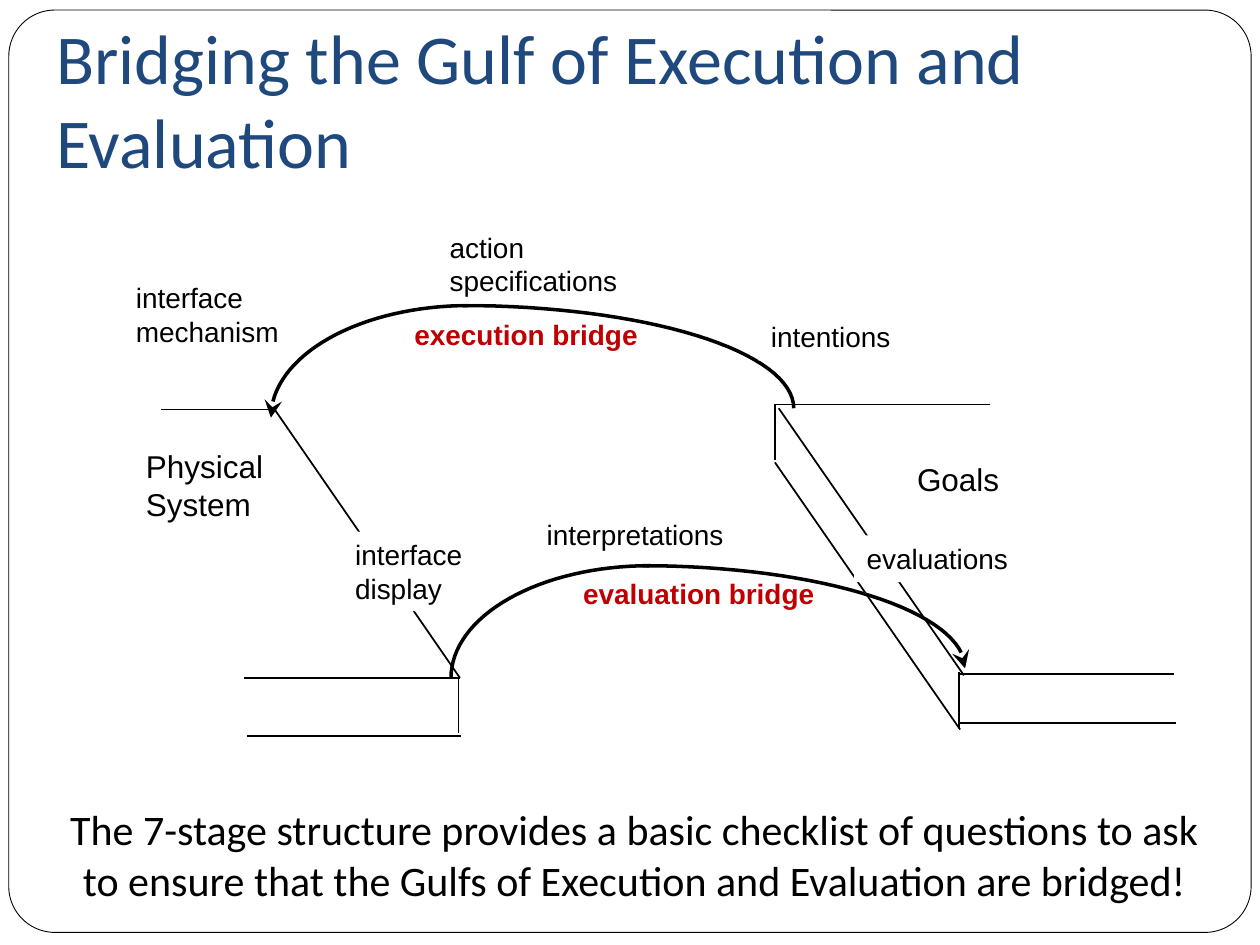
from math import cos, pi, sin

from lxml import etree
from pptx import Presentation
from pptx.dml.color import RGBColor
from pptx.enum.shapes import MSO_CONNECTOR, MSO_SHAPE
from pptx.enum.text import MSO_ANCHOR, PP_ALIGN
from pptx.oxml.ns import qn
from pptx.util import Inches, Pt

STRAIGHT = MSO_CONNECTOR.STRAIGHT
ROUNDED = MSO_SHAPE.ROUNDED_RECTANGLE
LEFT, CENTER = PP_ALIGN.LEFT, PP_ALIGN.CENTER
TOP, BOTTOM = MSO_ANCHOR.TOP, MSO_ANCHOR.BOTTOM

BLACK = RGBColor(0x00, 0x00, 0x00)
WHITE = RGBColor(0xFF, 0xFF, 0xFF)
NAVY = RGBColor(0x1F, 0x49, 0x7D)
RED = RGBColor(0xC0, 0x00, 0x00)

COLUMNS, ROWS = 100, 75
CELL = Inches(10) / COLUMNS
ARC_STEPS = 32


def cells(*counts):
    """Turn counts of grid cells into lengths."""
    return [round(count * CELL) for count in counts]


def add_text(page, box, text, size, color=BLACK, font="Arial", bold=False,
             fill=None, wrap=True, align=LEFT, anchor=TOP, bottom=0.5):
    """Place text in a box, one paragraph for each line of the string."""
    label = page.shapes.add_textbox(*cells(*box))
    if fill is not None:
        label.fill.solid()
        label.fill.fore_color.rgb = fill
    frame = label.text_frame
    frame.word_wrap = wrap
    frame.vertical_anchor = anchor
    frame.margin_bottom = cells(bottom)[0]
    frame.text = text
    for para in frame.paragraphs:
        para.alignment = align
        para.font.name = font
        para.font.size = Pt(size)
        para.font.bold = bold
        para.font.color.rgb = color


def add_lines(page, origin, segments):
    """Draw thin lines whose ends are offsets from the origin."""
    left, top = origin
    for x1, y1, x2, y2 in segments:
        ends = cells(left + x1, top + y1, left + x2, top + y2)
        line = page.shapes.add_connector(STRAIGHT, *ends)
        line.line.color.rgb = BLACK
        line.line.width = Pt(1)
        etree.SubElement(line._element.spPr, qn("a:effectLst"))


def add_arc(page, center, radii, start, end, arrow=None):
    """Draw part of an ellipse around a center, between two angles."""
    angles = [start + (end - start) * step / ARC_STEPS for step in range(ARC_STEPS + 1)]
    points = [cells(center[0] + radii[0] * cos(angle), center[1] - radii[1] * sin(angle))
              for angle in angles]
    builder = page.shapes.build_freeform(*points[0])
    builder.add_line_segments(points[1:], close=False)
    arc = builder.convert_to_shape()
    arc.shadow.inherit = False
    arc.fill.background()
    arc.line.color.rgb = BLACK
    arc.line.width = Pt(2)
    if arrow:
        outline = arc._element.spPr.find(qn("a:ln"))
        etree.SubElement(outline, qn(arrow), type="stealth", w="lg", len="lg")


def add_frame(page, box):
    """Draw the rounded border of the slide."""
    border = page.shapes.add_shape(ROUNDED, *cells(*box))
    border.adjustments[0] = 0.05
    border.shadow.inherit = False
    border.fill.solid()
    border.fill.fore_color.rgb = WHITE
    border.line.color.rgb = BLACK
    border.line.width = Pt(0.5)


def add_system_bank(page, origin):
    """Draw the bank of the physical system."""
    left, top = origin
    add_lines(page, origin, [
        (0, 0, 9.1, 0), (9, 0, 23.7, 21.3), (6.6, 21.3, 23.7, 21.3),
        (6.8, 25.9, 23.8, 25.9), (23.6, 21.3, 23.6, 25.7)])
    add_text(page, (left - 2.2, top + 2.5, 11.3, 7), "Physical\nSystem", 18, wrap=False)


def add_goals_bank(page, origin):
    """Draw the bank of the goals."""
    left, top = origin
    add_lines(page, origin, [
        (17.1, 0, 0, 0), (0, 4.4, 0, 0), (31.7, 21.4, 14.6, 21.4),
        (14.6, 25.7, 14.6, 21.2), (31.8, 25.3, 14.7, 25.3),
        (0.3, 0.3, 15, 21.5), (0, 4.6, 14.7, 25.8)])
    add_text(page, (left + 10.3, top + 3.9, 8.6, 4), "Goals", 18, wrap=False)


def add_bridge(page, box, name, name_box, head=None, tail=None):
    """Draw a named bridge as a rising and a falling arc."""
    left, top, width, height = box
    rise, crown, drop = 15.7, 15.2, height - 0.75
    add_text(page, (left + name_box[0], top + name_box[1], *name_box[2:]),
             name, 16, RED, bold=True, wrap=False)
    add_arc(page, (left + rise, top + height), (rise, height), pi, pi / 2, head)
    add_arc(page, (left + crown, top + drop), (width - crown, drop), pi / 2, 0, tail)


def add_stage_labels(page, labels):
    """Place the white labels of the stages over the bridges."""
    for text, box in labels:
        add_text(page, box, text, 16, fill=WHITE)


def main():
    """Build and save the slide."""
    deck = Presentation()
    deck.slide_width, deck.slide_height = cells(COLUMNS, ROWS)
    page = deck.slides.add_slide(deck.slide_layouts[6])
    add_frame(page, (0.7, 0.8, 98.6, 73.2))
    add_text(page, (3.5, 3, 93.7, 12.5), "Bridging the Gulf of Execution and Evaluation",
             40, NAVY, "Calibri", anchor=BOTTOM, bottom=1)
    add_system_bank(page, (12.8, 32.5))
    add_goals_bank(page, (61.5, 32.1))
    add_bridge(page, (21.5, 24.25, 41.5, 8.9), "execution bridge",
               (10.4, 0.45, 24.2, 3.7), head="a:headEnd")
    add_bridge(page, (35.8, 44.9, 40.8, 8.9), "evaluation bridge",
               (9.5, 0.4, 20.4, 3.7), tail="a:tailEnd")
    add_stage_labels(page, [
        ("intentions", (60.2, 24.9, 12.7, 3.7)),
        ("action specifications", (34.7, 17.8, 16.4, 6.3)),
        ("interface\nmechanism", (9.8, 21.8, 14.2, 6.3)),
        ("interpretations", (42.4, 40.6, 16.4, 3.7)),
        ("interface\ndisplay", (27.2, 42.2, 10.7, 6.3)),
        ("evaluations", (67.8, 42.5, 15.3, 3.7))])
    add_text(page, (3.5, 60.3, 93.7, 12.5),
             "The 7-stage structure provides a basic checklist of questions to ask "
             "to ensure that the Gulfs of Execution and Evaluation are bridged!",
             24, font="Calibri", align=CENTER, anchor=BOTTOM, bottom=1)
    deck.save("out.pptx")


if __name__ == "__main__":
    main()
